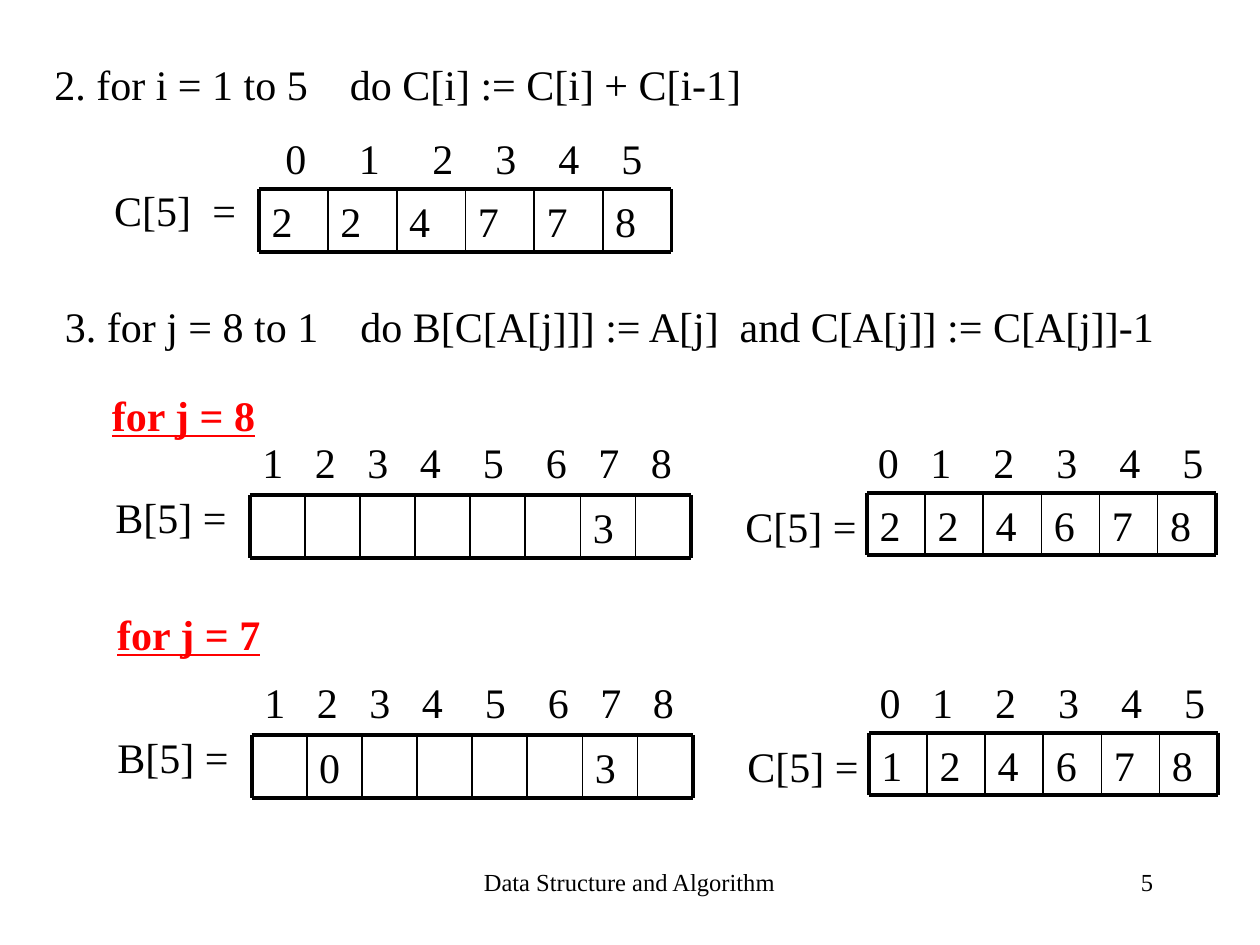
import pptx
import pptx.dml.color
import pptx.enum.shapes
import pptx.enum.text
import pptx.oxml.ns
import pptx.util
from lxml import etree

Pt = pptx.util.Pt
ALIGN = pptx.enum.text.PP_ALIGN
BODY = {"name": "Times New Roman", "size": Pt(24), "bold": False, "underline": False}
HEADING = {**BODY, "bold": True, "underline": True}
FOOTER = {**BODY, "size": Pt(14)}
C_STOPS = (30, 66, 102, 138, 174)
B_STOPS = (30, 60, 90, 126, 162, 192, 222)


def paint(target, color):
    """Give a font or fill a solid colour from a hex string."""
    target.solid()
    target.fore_color.rgb = pptx.dml.color.RGBColor.from_string(color)


def add_text(shapes, box, text, style=BODY, color="000000", align=ALIGN.LEFT, stops=()):
    """Place one line of text, with tab stops in points."""
    frame = shapes.add_textbox(*map(Pt, box)).text_frame
    frame.word_wrap = True
    para = frame.paragraphs[0]
    para.alignment = align
    if stops:
        tabs = etree.SubElement(para._p.get_or_add_pPr(), pptx.oxml.ns.qn("a:tabLst"))
        for stop in stops:
            etree.SubElement(tabs, pptx.oxml.ns.qn("a:tab"), pos=str(Pt(stop)), algn="l")
    span = para.add_run()
    span.text = text
    for key, value in style.items():
        setattr(span.font, key, value)
    paint(span.font.fill, color)


def add_rule(shapes, start, end, width):
    """Draw a straight black line without a shadow."""
    rule = shapes.add_connector(
        pptx.enum.shapes.MSO_CONNECTOR.STRAIGHT, *map(Pt, (*start, *end)))
    rule.line.width = Pt(width)
    paint(rule.line.fill, "000000")
    etree.SubElement(rule._element.spPr, pptx.oxml.ns.qn("a:effectLst"))


def add_array(page, box, values, label, label_offset, indices, index_offset, stops):
    """Draw an array as a row of cells with its name at left and its indices above."""
    left, top, width, height = box
    step = width / len(values)
    dx, dy = label_offset
    add_text(page.shapes, (left + dx, top + dy, 110, 36), label, stops=(56,))
    dx, dy = index_offset
    add_text(page.shapes, (left + dx, top + dy, width + 14, 36), "\t".join(indices),
             stops=stops)

    cells = page.shapes.add_group_shape().shapes
    for column, value in enumerate(values):
        if value.strip():
            add_text(cells, (left + column * step, top, step, height), value)
    for y in (top, top + height):
        add_rule(cells, (left, y), (left + width, y), 2.25)
    for column in range(len(values) + 1):
        x = left + column * step
        weight = 2.25 if column in (0, len(values)) else 1
        add_rule(cells, (x, top), (x, top + height), weight)


def add_pass(page, box, title, title_offset, b_values, c_values):
    """Show one pass of the loop: heading, array B and array C."""
    left, top = box
    dx, dy = title_offset
    add_text(page.shapes, (left + dx, top + dy, 120, 36), title, HEADING, "FF0000")
    add_array(page, (left, top + 1.3, 252, 36), b_values, "B[5] =", (-83.8, -5.8),
              "12345678", (0.2, -37.2), B_STOPS)
    add_array(page, (left + 352.8, top, 199.2, 35.6), c_values, "C[5] =", (-76.6, 0.7),
              "012345", (-1, -36), C_STOPS)


def add_footer(page, box):
    """Place the course name and the page number."""
    left, top, width, height = box
    add_text(page.shapes, (left, top, 227.5, height), "Data Structure and Algorithm",
             FOOTER, align=ALIGN.CENTER)
    add_text(page.shapes, (left + width - 150, top, 150, height), "5",
             FOOTER, align=ALIGN.RIGHT)


def main():
    """Build the counting sort slide."""
    deck = pptx.Presentation()
    deck.slide_width, deck.slide_height = Pt(720), Pt(540)
    page = deck.slides.add_slide(deck.slide_layouts[6])
    add_text(page.shapes, (24, 30, 462, 36),
             "2. for i = 1 to 5\tdo C[i] := C[i] + C[i-1]", stops=(168.9,))
    add_array(page, (148.2, 108, 235.5, 36), "224778", "C[5]\t=", (-90, -6),
              "012345", (7.8, -36), (42, 84, 120, 156, 192))
    add_text(page.shapes, (30, 168, 660, 36),
             "3. for j = 8 to 1\tdo B[C[A[j]]] := A[j]\tand C[A[j]] := C[A[j]]-1",
             stops=(168.9, 385.6))
    add_pass(page, (142.7, 281.8), "for j = 8", (-85.9, -62.9), "      3 ", "224678")
    add_pass(page, (143.8, 418.8), "for j = 7", (-84, -74.6), " 0    3 ", "124678")
    add_footer(page, (246, 492, 420, 36))
    deck.save("out.pptx")


if __name__ == "__main__":
    main()
